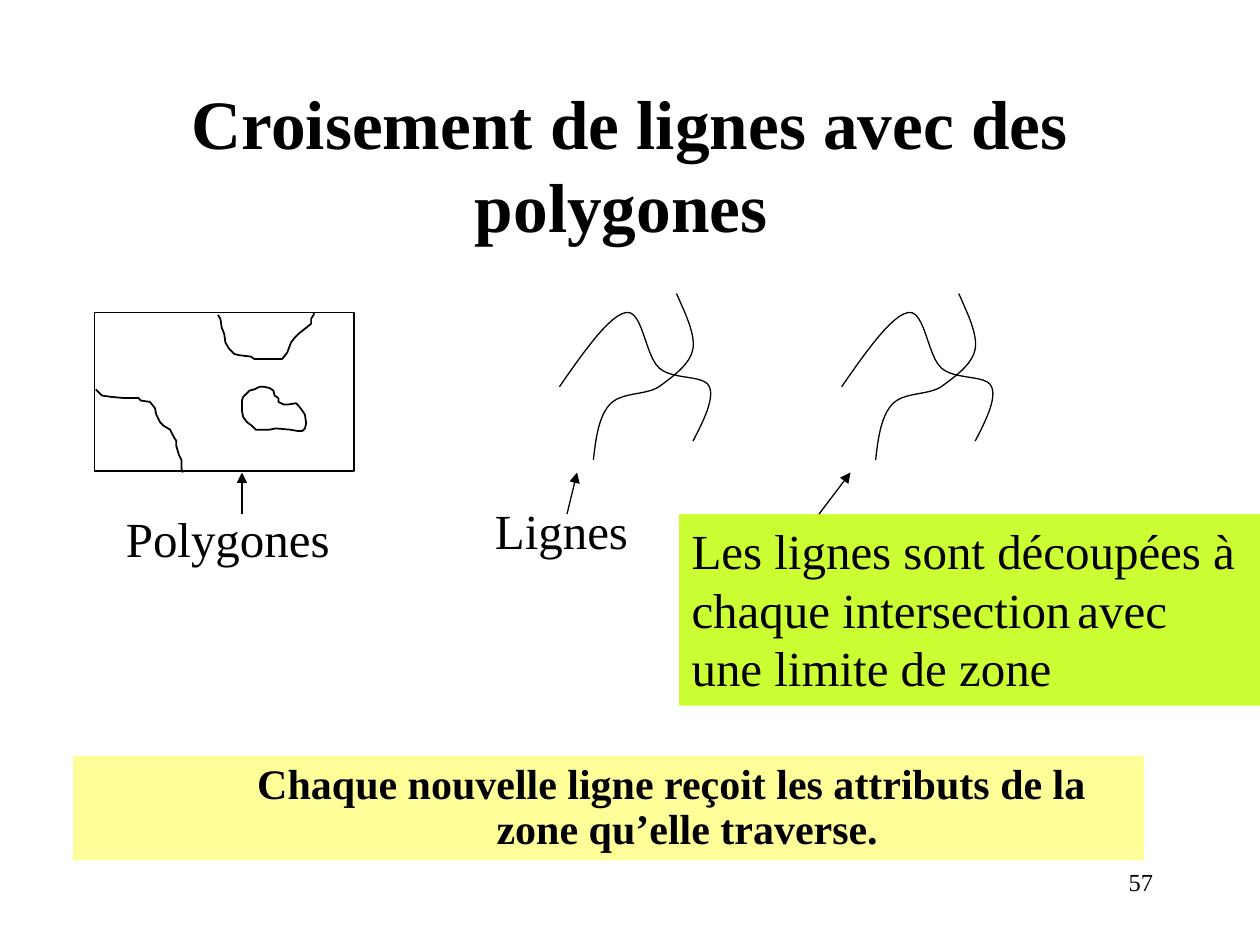
from pptx import Presentation
from pptx.dml.color import RGBColor
from pptx.enum.shapes import MSO_CONNECTOR, MSO_SHAPE
from pptx.enum.text import MSO_ANCHOR, PP_ALIGN
from pptx.oxml.ns import qn
from pptx.util import Inches, Pt
from lxml import etree

BLACK = RGBColor(0x00, 0x00, 0x00)
YELLOW = RGBColor(0xFF, 0xFF, 0x99)
GREEN = RGBColor(0xCC, 0xFF, 0x33)
SERIF = "Times New Roman"

# Content: text boxes as (left, top, width, height), paragraphs of (text, size, font) runs
TITLE = ((0.75, 0.67, 8.5, 1.25),
         [[("Croisement de lignes avec des polygones ", 39.6, SERIF)]])
CONCLUSION = ((0.58, 6, 8.5, 0.83),
              [[("Chaque nouvelle ligne reçoit les attributs de la zone "
                 "qu’elle traverse.", 24, SERIF)]])
POLYGON_LABEL = ((0.9, 3.99, 1.82, 0.57), [[("Polygones", 28, SERIF)]])
LINE_LABEL = ((3.83, 3.92, 1.26, 0.57), [[("Lignes", 28, SERIF)]])
CUT_LABEL = ((5.39, 4.08, 4.61, 1.52),
             [[("Les lignes sont découpées à", 28, SERIF)],
              [("chaque intersection", 28, SERIF), (" ", 14, "Arial"),
               ("avec une limite de zone", 28, SERIF)]])
PAGE_NUMBER = ((7.17, 6.83, 2.08, 0.5), [[("57", 14, SERIF)]])

# Zone limits inside the polygon frame: (closed, points)
FRAME = (0.75, 2.48, 2.06, 1.26)
ZONES = [
    (False, [(0.76, 3.09), (0.81, 3.14), (0.88, 3.15), (0.99, 3.16), (1.1, 3.16),
             (1.12, 3.18), (1.19, 3.19), (1.23, 3.24), (1.24, 3.29), (1.27, 3.35),
             (1.3, 3.38), (1.35, 3.41), (1.38, 3.47), (1.4, 3.5), (1.4, 3.54),
             (1.42, 3.61), (1.44, 3.65), (1.44, 3.72), (1.45, 3.75)]),
    (True, [(2.29, 3.21), (2.25, 3.21), (2.21, 3.19), (2.21, 3.16), (2.18, 3.14),
            (2.17, 3.1), (2.14, 3.08), (2.1, 3.07), (2.06, 3.07), (2.02, 3.09),
            (1.98, 3.1), (1.93, 3.15), (1.92, 3.18), (1.92, 3.26), (1.93, 3.31),
            (1.96, 3.35), (2, 3.38), (2.03, 3.41), (2.14, 3.41), (2.19, 3.4),
            (2.3, 3.41), (2.36, 3.42), (2.4, 3.42), (2.42, 3.4), (2.43, 3.36),
            (2.42, 3.29), (2.4, 3.26), (2.37, 3.22), (2.35, 3.2)]),
    (False, [(1.73, 2.5), (1.75, 2.53), (1.76, 2.6), (1.78, 2.65), (1.79, 2.72),
             (1.82, 2.77), (1.86, 2.81), (1.9, 2.82), (1.99, 2.83), (2.02, 2.85),
             (2.24, 2.85), (2.28, 2.8), (2.31, 2.72), (2.34, 2.68), (2.37, 2.65),
             (2.42, 2.61), (2.47, 2.57), (2.47, 2.53), (2.49, 2.5), (2.49, 2.48)]),
]

# Crossing lines: a start point, then groups of three Bezier points
CURVES = [
    [(4.44, 3.07), (4.64, 2.78), (4.84, 2.5), (4.97, 2.48), (5.1, 2.46),
     (5.12, 2.82), (5.23, 2.92), (5.34, 3.02), (5.59, 2.97), (5.63, 3.07),
     (5.67, 3.16), (5.59, 3.33), (5.5, 3.5)],
    [(4.71, 3.65), (4.73, 3.48), (4.75, 3.31), (4.84, 3.21), (4.93, 3.11),
     (5.12, 3.14), (5.23, 3.07), (5.34, 2.99), (5.48, 2.89), (5.5, 2.77),
     (5.52, 2.65), (5.44, 2.49), (5.37, 2.33)],
]
CURVE_SHIFTS = (0, 2.24)
CURVE_STEPS = 12

# Arrows: x at the label, x at the drawing
ARROWS = [(1.92, 1.92), (4.5, 4.58), (6.5, 6.75)]
ARROW_BOTTOM, ARROW_TOP = 4.08, 3.75

prs = Presentation()
prs.slide_width, prs.slide_height = Inches(10), Inches(7.5)
s = prs.slides.add_slide(prs.slide_layouts[6])


def add_text(part, fill=None, bold=False, align=PP_ALIGN.LEFT,
             anchor=MSO_ANCHOR.TOP, wrap=True):
    box, paragraphs = part
    sp = s.shapes.add_textbox(*map(Inches, box))
    if fill is not None:
        sp.fill.solid()
        sp.fill.fore_color.rgb = fill
    tf = sp.text_frame
    tf.word_wrap = wrap
    tf.vertical_anchor = anchor
    for i, runs in enumerate(paragraphs):
        p = tf.add_paragraph() if i else tf.paragraphs[0]
        p.alignment = align
        for text, size, font in runs:
            r = p.add_run()
            r.text = text
            r.font.size, r.font.name, r.font.bold = Pt(size), font, bold
            r.font.color.rgb = BLACK
    return sp


def outline(sp, width):
    sp.shadow.inherit = False
    sp.fill.background()
    sp.line.color.rgb = BLACK
    sp.line.width = Pt(width)


def add_path(points, width, closed=False):
    start, *rest = [(Inches(x), Inches(y)) for x, y in points]
    builder = s.shapes.build_freeform(*start)
    builder.add_line_segments(rest, close=closed)
    outline(builder.convert_to_shape(), width)


def sample_curve(nodes, shift):
    points = [nodes[0]]
    for i in range(0, len(nodes) - 1, 3):
        for step in range(1, CURVE_STEPS + 1):
            t = step / CURVE_STEPS
            weights = ((1 - t) ** 3, 3 * t * (1 - t) ** 2, 3 * t * t * (1 - t), t ** 3)
            points.append(tuple(sum(w * n[axis] for w, n in zip(weights, nodes[i:i + 4]))
                                for axis in (0, 1)))
    return [(x + shift, y) for x, y in points]


# Title and concluding banner
add_text(TITLE, bold=True, align=PP_ALIGN.CENTER, anchor=MSO_ANCHOR.MIDDLE)
banner = add_text(CONCLUSION, YELLOW, True, PP_ALIGN.CENTER, MSO_ANCHOR.MIDDLE)
p = banner.text_frame.paragraphs[0]
p.line_spacing = 0.9
pPr = p._p.get_or_add_pPr()
pPr.set("marL", str(Inches(1.25)))
pPr.set("indent", str(Inches(-0.25)))

# Polygon drawing
outline(s.shapes.add_shape(MSO_SHAPE.RECTANGLE, *map(Inches, FRAME)), 1)
for closed, points in ZONES:
    add_path(points, 1, closed)

# The two pairs of crossing lines
for shift in CURVE_SHIFTS:
    for nodes in CURVES:
        add_path(sample_curve(nodes, shift), 0.75)

# Labels
add_text(POLYGON_LABEL, wrap=False)
add_text(LINE_LABEL, wrap=False)
add_text(CUT_LABEL, GREEN)

# Arrows from labels to drawings
for x_label, x_drawing in ARROWS:
    arrow = s.shapes.add_connector(
        MSO_CONNECTOR.STRAIGHT, Inches(x_label), Inches(ARROW_BOTTOM),
        Inches(x_drawing), Inches(ARROW_TOP))
    arrow.line.color.rgb = BLACK
    arrow.line.width = Pt(0.75)
    etree.SubElement(arrow.line._get_or_add_ln(), qn("a:tailEnd"), type="triangle")
    etree.SubElement(arrow._element.spPr, qn("a:effectLst"))

add_text(PAGE_NUMBER, align=PP_ALIGN.RIGHT)

prs.save("out.pptx")
